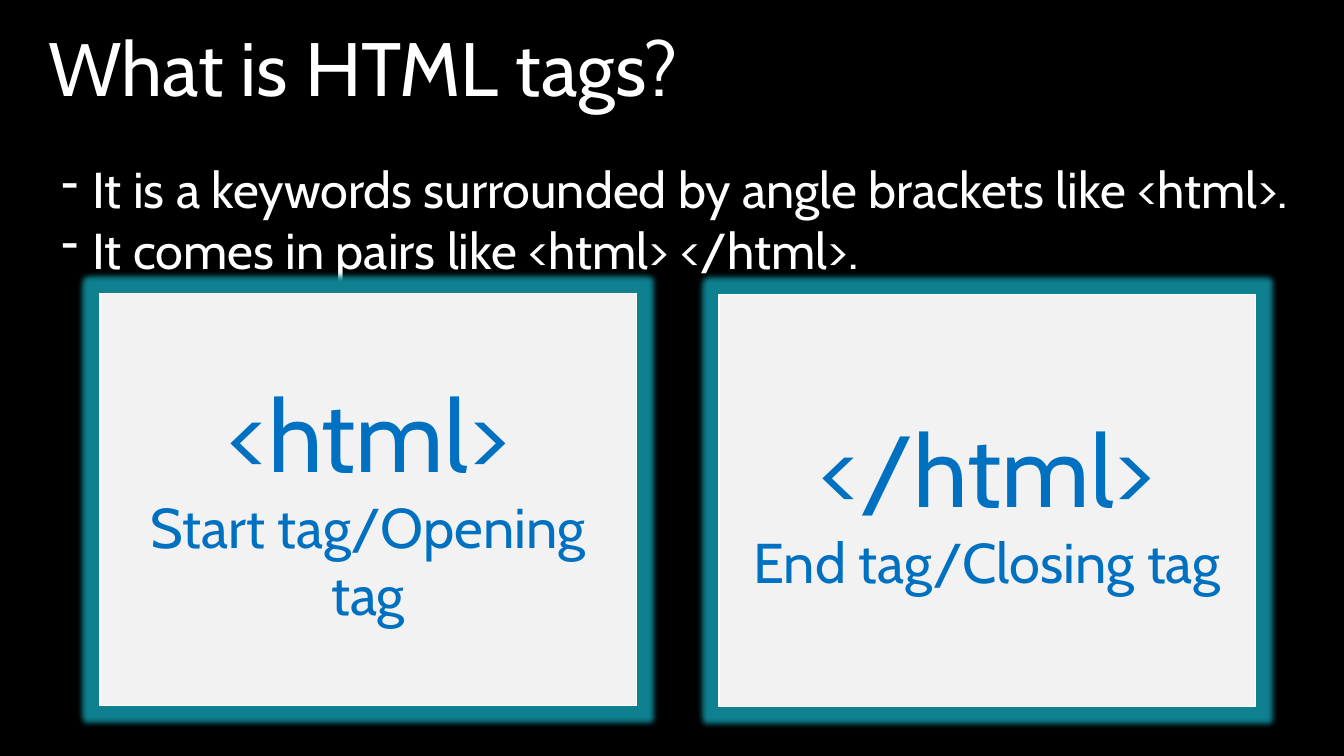
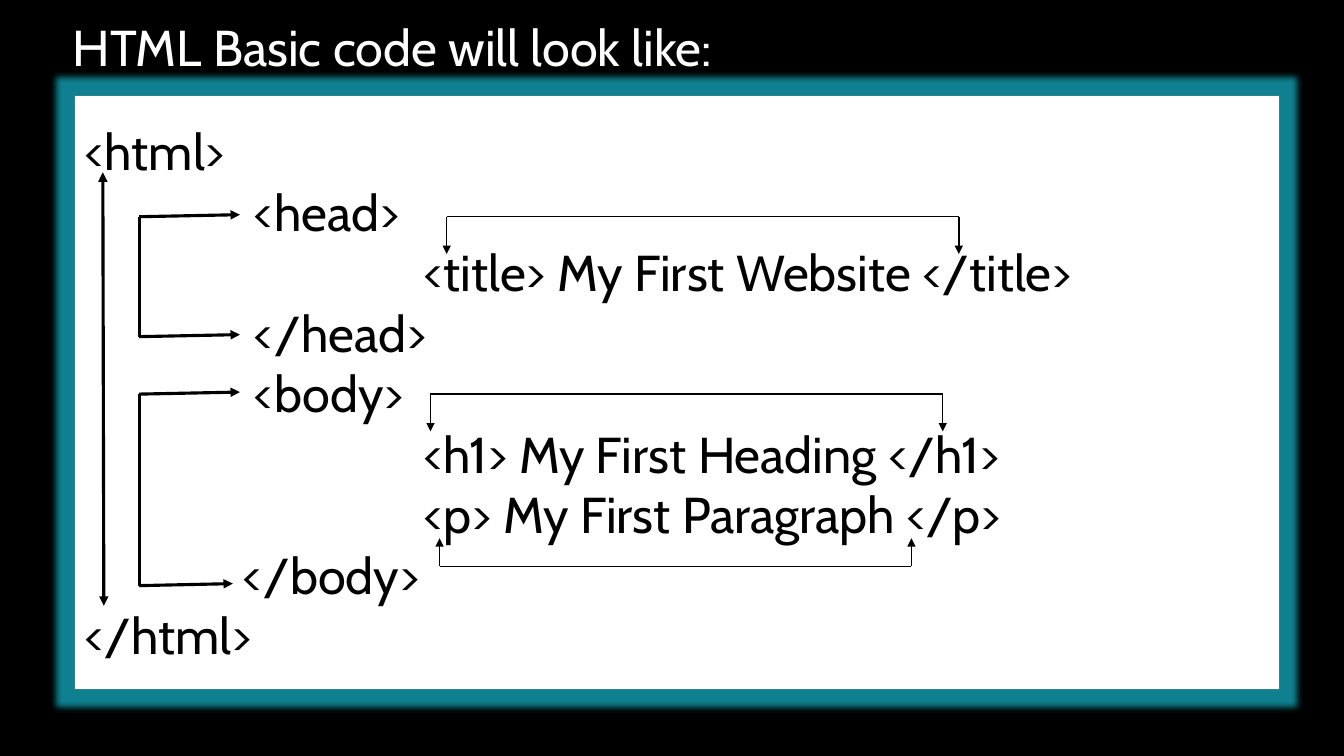
from dataclasses import dataclass

import lxml.etree
import pptx
import pptx.dml.color
import pptx.enum.shapes
import pptx.enum.text
import pptx.oxml.ns
import pptx.presentation
import pptx.shapes.autoshape
import pptx.slide
import pptx.text.text
import pptx.util

BLACK = pptx.dml.color.RGBColor(0x00, 0x00, 0x00)
WHITE = pptx.dml.color.RGBColor(0xFF, 0xFF, 0xFF)
PALE_GRAY = pptx.dml.color.RGBColor(0xF2, 0xF2, 0xF2)
TAG_BLUE = pptx.dml.color.RGBColor(0x00, 0x70, 0xC0)
TEAL = pptx.dml.color.RGBColor(0x30, 0x81, 0x8C)
GLOW_TEAL = pptx.dml.color.RGBColor(0x0E, 0x80, 0x8F)

PX_PER_INCH = 100
FONT = "Cabin"
TITLE_ONLY = 5
GLOW_RADIUS = 11
BULLET_INDENT = 31
CODE_INDENT = 168
ARROW_RISE = 2

LEFT = pptx.enum.text.PP_ALIGN.LEFT
CENTER = pptx.enum.text.PP_ALIGN.CENTER
TOP_FRAME = {
    "word_wrap": True,
    "auto_size": pptx.enum.text.MSO_AUTO_SIZE.NONE,
    "vertical_anchor": pptx.enum.text.MSO_ANCHOR.TOP,
}
PANEL_FRAME = TOP_FRAME | {"vertical_anchor": pptx.enum.text.MSO_ANCHOR.MIDDLE}


@dataclass(frozen=True)
class Box:
    left: int
    top: int
    width: int
    height: int


@dataclass(frozen=True)
class Line:
    text: str
    size: int
    color: pptx.dml.color.RGBColor
    align: pptx.enum.text.PP_ALIGN = LEFT
    indent: int = 0
    bullet: str = ""


@dataclass(frozen=True)
class TagCard:
    box: Box
    tag: str
    meaning: str


@dataclass(frozen=True)
class BlockBracket:
    top: int
    bottom: int
    bottom_tip: int


@dataclass(frozen=True)
class PairBracket:
    left: int
    right: int
    beam: int
    tip: int
    tip_weight: float


CARDS = [
    TagCard(Box(99, 291, 532, 409), "<html>", "Start tag/Opening tag"),
    TagCard(Box(713, 292, 532, 409), "</html>", "End tag/Closing tag"),
]
FACTS = [
    "It is a keywords surrounded by angle brackets like <html>.",
    "It comes in pairs like <html> </html>.",
]
CODE = [
    ("<html>", 0),
    ("<head>", CODE_INDENT),
    ("<title> My First Website </title>", 2 * CODE_INDENT),
    ("</head>", CODE_INDENT),
    ("<body>", CODE_INDENT),
    ("<h1> My First Heading </h1>", 2 * CODE_INDENT),
    ("<p> My First Paragraph </p>", 2 * CODE_INDENT),
    ("</body>", CODE_INDENT - 11),
    ("</html>", 0),
]
BLOCK_LEFT = 138
BLOCK_TIP = 238
BLOCKS = [BlockBracket(215, 334, BLOCK_TIP), BlockBracket(391, 581, 231)]
PAIRS = [
    PairBracket(443, 951, 215, 252, 1),
    PairBracket(427, 935, 391, 428, 1),
    PairBracket(436, 904, 562, 534, 0.5),
]


def px(length: int) -> pptx.util.Emu:
    return pptx.util.Emu(length * pptx.util.Inches(1) // PX_PER_INCH)


def place(box: Box) -> tuple[pptx.util.Emu, ...]:
    return px(box.left), px(box.top), px(box.width), px(box.height)


def add_xml(parent: lxml.etree.ElementBase, tag: str, **attributes: str) -> lxml.etree.ElementBase:
    return lxml.etree.SubElement(parent, pptx.oxml.ns.qn(tag), **attributes)


def write_lines(frame: pptx.text.text.TextFrame, lines: list[Line], frame_format: dict) -> None:
    for name, value in frame_format.items():
        setattr(frame, name, value)
    for number, line in enumerate(lines):
        paragraph = frame.add_paragraph() if number else frame.paragraphs[0]
        paragraph.alignment = line.align
        run = paragraph.add_run()
        run.text = line.text
        font_format = {"name": FONT, "size": pptx.util.Pt(line.size)}
        for name, value in font_format.items():
            setattr(run.font, name, value)
        run.font.color.rgb = line.color
        properties = paragraph._p.get_or_add_pPr()
        if line.indent:
            properties.set("marL", str(px(line.indent)))
        if line.bullet:
            properties.set("indent", str(-px(line.indent)))
            add_xml(properties, "a:buChar", char=line.bullet)


def add_titled_slide(
    deck: pptx.presentation.Presentation, title: str, box: Box, size: int
) -> pptx.slide.Slide:
    slide = deck.slides.add_slide(deck.slide_layouts[TITLE_ONLY])
    heading = slide.shapes.title
    heading.left, heading.top, heading.width, heading.height = place(box)
    write_lines(heading.text_frame, [Line(title, size, WHITE)], TOP_FRAME)
    return slide


def add_glowing_panel(
    slide: pptx.slide.Slide,
    box: Box,
    fill: pptx.dml.color.RGBColor,
    outline: pptx.dml.color.RGBColor,
    lines: list[Line],
) -> None:
    panel = slide.shapes.add_shape(pptx.enum.shapes.MSO_SHAPE.RECTANGLE, *place(box))
    panel.fill.solid()
    panel.fill.fore_color.rgb = fill
    panel.line.color.rgb = outline
    panel.line.width = pptx.util.Pt(1)
    panel.shadow.inherit = False
    effects = panel.element.spPr.find(pptx.oxml.ns.qn("a:effectLst"))
    glow = add_xml(effects, "a:glow", rad=str(px(GLOW_RADIUS)))
    add_xml(glow, "a:srgbClr", val=str(GLOW_TEAL))
    write_lines(panel.text_frame, lines, PANEL_FRAME)


def add_line(
    slide: pptx.slide.Slide,
    start: tuple[int, int],
    end: tuple[int, int],
    weight: float,
    ends: tuple[str, ...] = (),
) -> None:
    connector = slide.shapes.add_connector(
        pptx.enum.shapes.MSO_CONNECTOR.STRAIGHT, *map(px, start + end)
    )
    connector.line.color.rgb = BLACK
    connector.line.width = pptx.util.Pt(weight)
    for tag in ends:
        add_xml(connector.get_or_add_ln(), tag, type="triangle")
    add_xml(connector.element.spPr, "a:effectLst")


def add_block_bracket(slide: pptx.slide.Slide, block: BlockBracket) -> None:
    add_line(slide, (BLOCK_LEFT, block.top), (BLOCK_LEFT, block.bottom), 2.25)
    for y, tip in ((block.top, BLOCK_TIP), (block.bottom, block.bottom_tip)):
        add_line(slide, (BLOCK_LEFT, y), (tip, y - ARROW_RISE), 2.25, ("a:tailEnd",))


def add_pair_bracket(slide: pptx.slide.Slide, pair: PairBracket) -> None:
    add_line(slide, (pair.left, pair.beam), (pair.right, pair.beam), 1)
    for x in (pair.left, pair.right):
        add_line(slide, (x, pair.beam), (x, pair.tip), pair.tip_weight, ("a:tailEnd",))


def build_tags_slide(deck: pptx.presentation.Presentation) -> None:
    slide = add_titled_slide(deck, "What is HTML tags?", Box(38, 16, 1146, 101), 54)
    facts = slide.shapes.add_textbox(*place(Box(51, 152, 1247, 192)))
    fact_lines = [Line(fact, 36, WHITE, indent=BULLET_INDENT, bullet="-") for fact in FACTS]
    write_lines(facts.text_frame, fact_lines, TOP_FRAME)
    for card in CARDS:
        lines = [
            Line(card.tag, 72, TAG_BLUE, CENTER),
            Line(card.meaning, 40, TAG_BLUE, CENTER),
        ]
        add_glowing_panel(slide, card.box, PALE_GRAY, WHITE, lines)


def build_code_slide(deck: pptx.presentation.Presentation) -> None:
    slide = add_titled_slide(deck, "HTML Basic code will look like:", Box(62, 11, 657, 71), 36)
    code_lines = [Line(text, 36, BLACK, indent=indent) for text, indent in CODE]
    add_glowing_panel(slide, Box(74, 95, 1195, 589), WHITE, TEAL, code_lines)
    add_line(slide, (102, 171), (103, 601), 2.25, ("a:headEnd", "a:tailEnd"))
    for block in BLOCKS:
        add_block_bracket(slide, block)
    for pair in PAIRS:
        add_pair_bracket(slide, pair)


def main() -> None:
    deck = pptx.Presentation()
    deck.slide_width, deck.slide_height = px(1333), px(750)
    backdrop = deck.slide_master.background.fill
    backdrop.solid()
    backdrop.fore_color.rgb = BLACK
    build_tags_slide(deck)
    build_code_slide(deck)
    deck.save("out.pptx")


if __name__ == "__main__":
    main()
